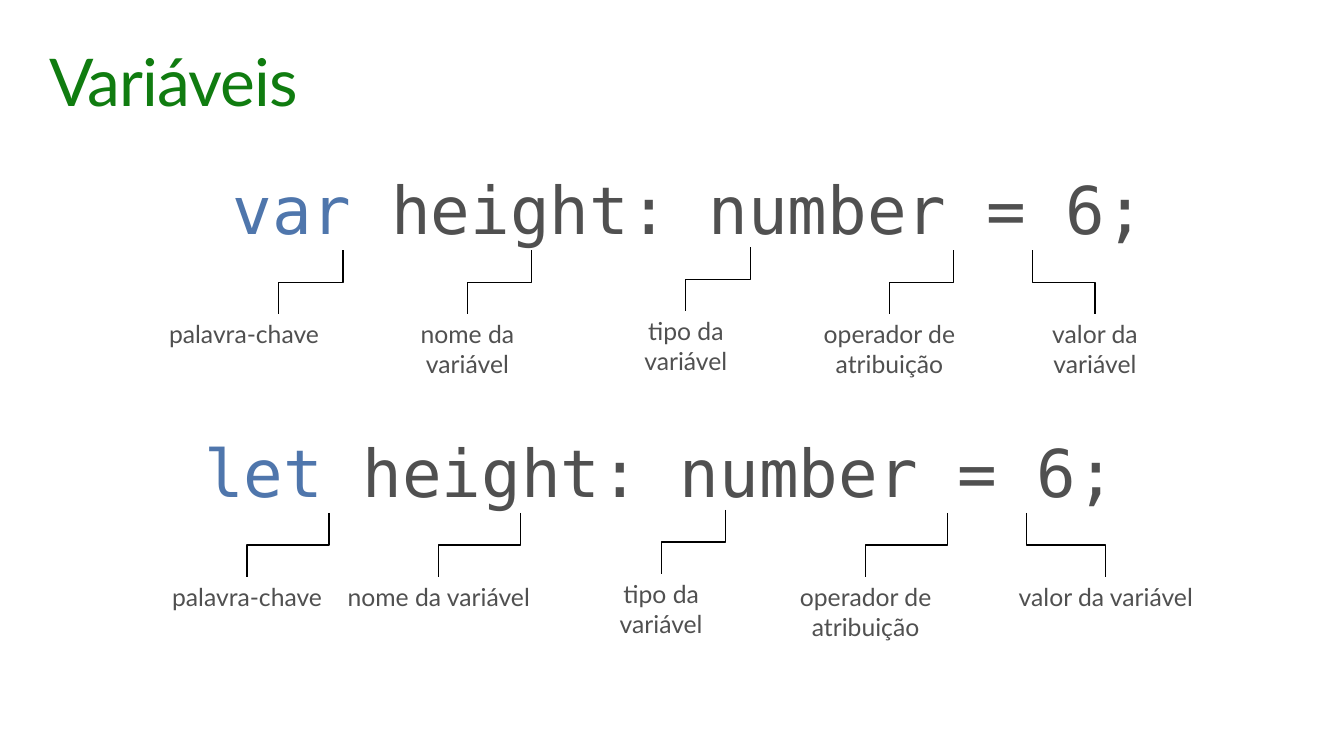
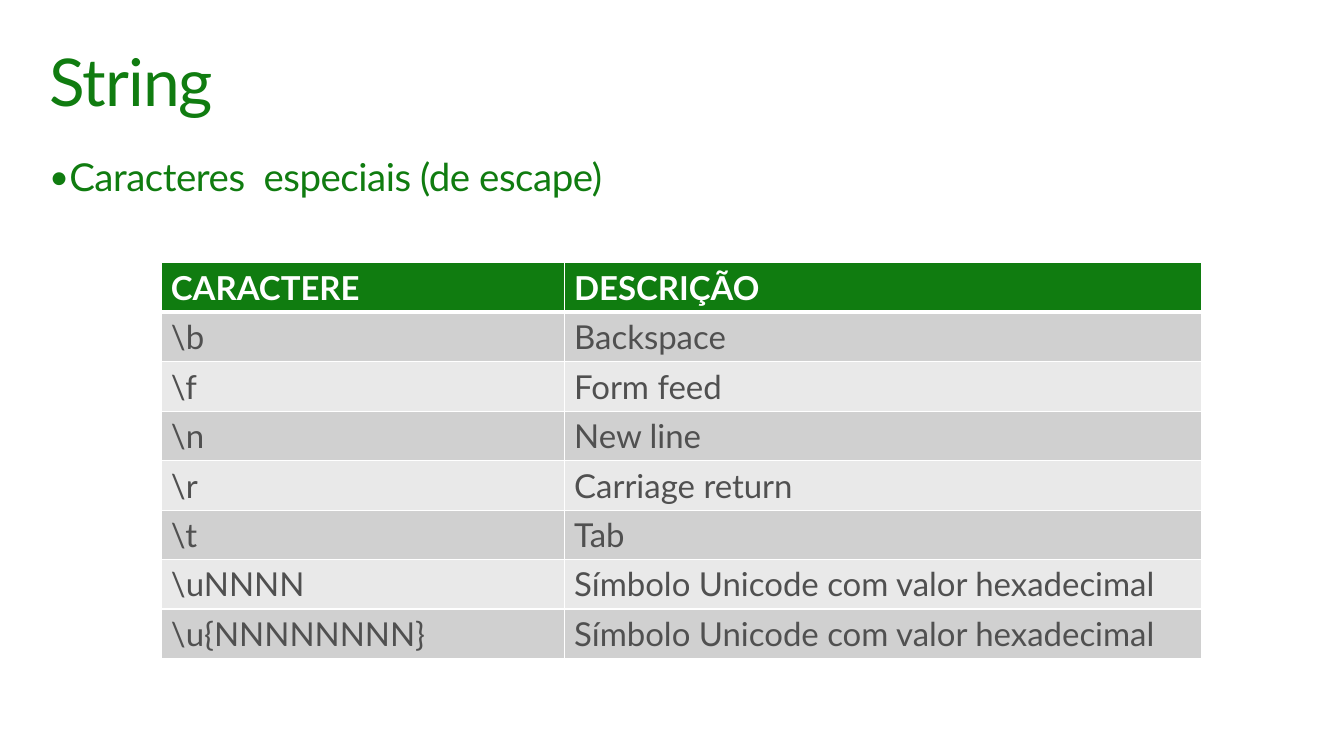
from dataclasses import dataclass

from lxml.etree import SubElement
from pptx import Presentation
from pptx.dml.color import RGBColor
from pptx.enum.shapes import MSO_CONNECTOR
from pptx.enum.text import PP_ALIGN
from pptx.oxml.ns import qn
from pptx.util import Inches, Pt

COLORS = {
    "green": "107C10",
    "keyword": "4F76AC",
    "text": "505050",
    "line": "000000",
    "white": "FFFFFF",
    "band_dark": "D0D0D0",
    "band_light": "E9E9E9",
}
BODY_FONT = "Lato"
CODE_FONT = "DejaVu Sans Mono"
MARGIN = 0.4
CONTENT_WIDTH = 12.8
STEM_HEIGHT = 0.65
DECLARED = "height: number = 6;"


@dataclass
class Callout:
    label: str
    stem: float
    foot: float
    width: float
    label_shift: float = 0
    lift: float = 0


VAR_CALLOUTS = [
    Callout("palavra-chave", 3.47, 2.82, 2, label_shift=-0.35),
    Callout("nome da variável", 5.38, 4.73, 1.61),
    Callout("tipo da variável", 7.59, 6.94, 1.61, lift=0.03),
    Callout("operador de atribuição", 9.65, 9, 1.75),
    Callout("valor da variável", 10.45, 11.08, 1.61),
]
LET_CALLOUTS = [
    Callout("palavra-chave", 3.33, 2.5, 2.05),
    Callout("nome da variável", 5.27, 4.44, 2.05),
    Callout("tipo da variável", 7.34, 6.69, 1.61, lift=0.03),
    Callout("operador de atribuição", 9.59, 8.76, 2.23),
    Callout("valor da variável", 10.39, 11.19, 2.05),
]
ESCAPES = [
    ("CARACTERE", "DESCRIÇÃO"),
    (r"\b", "Backspace"),
    (r"\f", "Form feed"),
    (r"\n", "New line"),
    (r"\r", "Carriage return"),
    (r"\t", "Tab"),
    (r"\uNNNN", "Símbolo Unicode com valor hexadecimal"),
    (r"\u{NNNNNNNN}", "Símbolo Unicode com valor hexadecimal"),
]


def rgb(color):
    return RGBColor.from_string(COLORS[color])


def style_run(run, size, color, font=BODY_FONT, bold=False, tracking=0):
    run.font.size = Pt(size)
    run.font.name = font
    run.font.bold = bold
    run.font.color.rgb = rgb(color)
    if tracking:
        run.font._element.set("spc", str(round(tracking * 100)))


def add_text(slide, left, top, width, height, inset=None):
    frame = slide.shapes.add_textbox(
        Inches(left), Inches(top), Inches(width), Inches(height)).text_frame
    frame.word_wrap = True
    if inset is not None:
        frame.margin_left = frame.margin_right = Inches(inset)
        frame.margin_top = frame.margin_bottom = Inches(inset)
    return frame.paragraphs[0]


def add_heading(slide, text, top, height, size, tracking):
    heading = add_text(slide, MARGIN, top, CONTENT_WIDTH, height, inset=0.1)
    heading.text = text
    heading.line_spacing = 0.9
    style_run(heading.runs[0], size, "green", tracking=tracking)
    return heading


def add_title(slide, text):
    add_heading(slide, text, 0.4, 1, 48, -0.7)


def add_bullet(slide, text):
    bullet = add_heading(slide, text, 1.5, 0.63, 28, -0.3)
    bullet.space_before = Pt(6)
    properties = bullet._p.get_or_add_pPr()
    properties.set("marL", "0")
    properties.set("indent", "0")
    SubElement(properties, qn("a:buSzPct")).set("val", "90000")
    SubElement(properties, qn("a:buFont")).set("typeface", BODY_FONT)
    SubElement(properties, qn("a:buChar")).set("char", "•")


def add_code(slide, keyword, top, width):
    code = add_text(slide, 1.47, top, width, 1.11)
    code.alignment = PP_ALIGN.CENTER
    code.space_before = Pt(3.6)
    for text, color in ((keyword + " ", "keyword"), (DECLARED, "text")):
        run = code.add_run()
        run.text = text
        style_run(run, 48, color, CODE_FONT)


def add_bent_stem(slide, stem, foot, top):
    leftward = foot < stem
    center_x = (stem + foot) / 2
    center_y = top + STEM_HEIGHT / 2
    reach = STEM_HEIGHT / 2 if leftward else -STEM_HEIGHT / 2
    rise = abs(stem - foot) / 2
    connector = slide.shapes.add_connector(
        MSO_CONNECTOR.ELBOW,
        Inches(center_x - reach), Inches(center_y - rise),
        Inches(center_x + reach), Inches(center_y + rise))
    connector.line.color.rgb = rgb("line")
    connector.line.width = Pt(0.85)
    properties = connector._element.spPr
    degrees = 90 if leftward else 270
    properties.find(qn("a:xfrm")).set("rot", str(degrees * 60000))
    SubElement(properties, qn("a:effectLst"))


def add_callout(slide, callout, top):
    top -= callout.lift
    add_bent_stem(slide, callout.stem, callout.foot, top)
    left = callout.foot + callout.label_shift - callout.width / 2
    label = add_text(slide, left, top + STEM_HEIGHT, callout.width, 0.71)
    label.text = callout.label
    label.alignment = PP_ALIGN.CENTER
    style_run(label.runs[0], 18, "text")


def add_declaration(slide, keyword, top, width, callouts):
    add_code(slide, keyword, top, width)
    for callout in callouts:
        add_callout(slide, callout, top + 0.87)


def set_borders(cell, top_width, bottom_width):
    properties = cell._tc.get_or_add_tcPr()
    widths = {"lnL": 1, "lnR": 1, "lnT": top_width, "lnB": bottom_width}
    for side, width in widths.items():
        border = SubElement(properties, qn("a:" + side), w=str(Pt(width)))
        fill = SubElement(border, qn("a:solidFill"))
        SubElement(fill, qn("a:srgbClr")).set("val", COLORS["white"])


def add_escape_table(slide):
    columns = (4.08, 6.45)
    row_height = 0.5
    table = slide.shapes.add_table(
        len(ESCAPES), len(columns), Inches(1.63), Inches(2.66),
        Inches(sum(columns)), Inches(row_height * len(ESCAPES))).table
    for column, width in zip(table.columns, columns):
        column.width = Inches(width)
    for row, texts in enumerate(ESCAPES):
        header = row == 0
        band = "green" if header else "band_dark" if row % 2 else "band_light"
        for column, text in enumerate(texts):
            cell = table.cell(row, column)
            set_borders(cell, 3 if row == 1 else 1, 3 if header else 1)
            cell.fill.solid()
            cell.fill.fore_color.rgb = rgb(band)
            cell.text_frame.text = text
            style_run(cell.text_frame.paragraphs[0].runs[0], 24,
                      "white" if header else "text", bold=header)


def main():
    presentation = Presentation()
    presentation.slide_width = Inches(13.6)
    presentation.slide_height = Inches(7.65)
    blank = presentation.slide_layouts[6]

    variables = presentation.slides.add_slide(blank)
    add_title(variables, "Variáveis")
    add_declaration(variables, "var", 1.66, 11, VAR_CALLOUTS)
    add_declaration(variables, "let", 4.32, 10.42, LET_CALLOUTS)

    strings = presentation.slides.add_slide(blank)
    add_title(strings, "String")
    add_bullet(strings, "Caracteres  especiais (de escape)")
    add_escape_table(strings)

    presentation.save("out.pptx")


if __name__ == "__main__":
    main()
